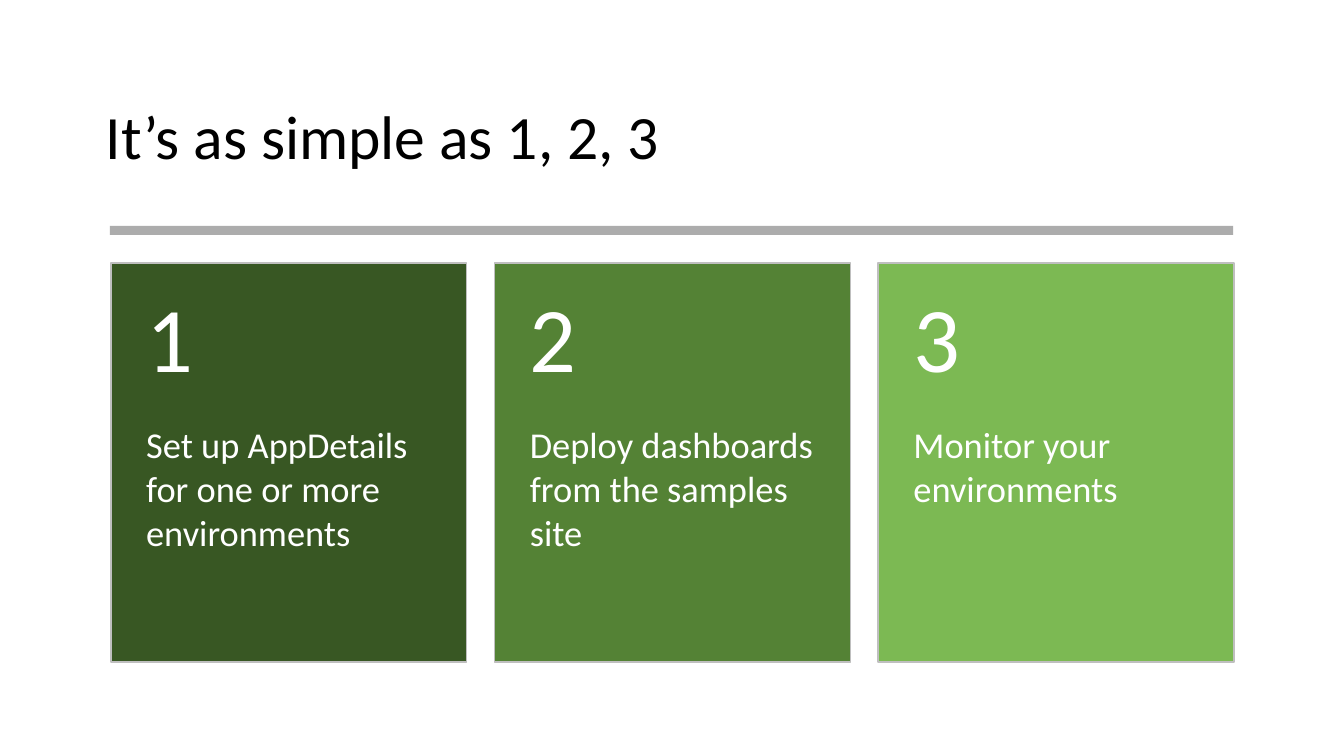
from lxml import etree
from pptx import Presentation
from pptx.dml.color import RGBColor
from pptx.enum.shapes import MSO_SHAPE
from pptx.enum.text import MSO_ANCHOR
from pptx.oxml.ns import qn
from pptx.util import Inches, Pt

COLORS = {
    "title": "000000",
    "rule": "808080",
    "border": "BFBFBF",
    "card_text": "FFFFFF",
    "step_1": "385723",
    "step_2": "548235",
    "step_3": "7CB953",
}
STEPS = [
    "Set up AppDetails for one or more environments",
    "Deploy dashboards from the samples site",
    "Monitor your environments",
]
CARD_LEFT, CARD_TOP, CARD_WIDTH, CARD_HEIGHT = 1.1, 2.61, 3.53, 3.96
CARD_PITCH = 3.805
NUMBER_HEIGHT = 1.58


def rgb(name):
    return RGBColor.from_string(COLORS[name])


def add_rect(slide, box, color):
    s = slide.shapes.add_shape(MSO_SHAPE.RECTANGLE, *map(Inches, box))
    s.shadow.inherit = False
    s.fill.solid()
    s.fill.fore_color.rgb = rgb(color)
    s.line.fill.background()
    return s


def add_text(slide, box, text, size, color, insets, anchor=MSO_ANCHOR.TOP, spacing=1.0):
    """Add a one-paragraph text box; insets are left, top, right, bottom in inches."""
    tf = slide.shapes.add_textbox(*map(Inches, box)).text_frame
    left, top, right, bottom = map(Inches, insets)
    frame_format = {
        "word_wrap": True,
        "vertical_anchor": anchor,
        "margin_left": left,
        "margin_top": top,
        "margin_right": right,
        "margin_bottom": bottom,
    }
    for name, value in frame_format.items():
        setattr(tf, name, value)
    p = tf.paragraphs[0]
    p.line_spacing = spacing
    r = p.add_run()
    r.text = text
    r.font.color.rgb = rgb(color)
    for name, value in {"name": "Calibri", "size": Pt(size)}.items():
        setattr(r.font, name, value)


def add_rule(slide):
    """Add the translucent grey bar under the title."""
    s = add_rect(slide, (1.09, 2.24, 11.14, 0.09), "rule")
    color = s.fill._xPr.find(qn("a:solidFill"))[0]
    etree.SubElement(color, qn("a:alpha")).set("val", "65000")


def add_step_card(slide, number, text):
    left = CARD_LEFT + (number - 1) * CARD_PITCH
    card = add_rect(slide, (left, CARD_TOP, CARD_WIDTH, CARD_HEIGHT), f"step_{number}")
    card.line.color.rgb = rgb("border")
    card.line.width = Pt(1)
    add_text(slide, (left, CARD_TOP + NUMBER_HEIGHT, CARD_WIDTH, CARD_HEIGHT - NUMBER_HEIGHT),
             text, 26, "card_text", (0.35, 0, 0.35, 0.36))
    add_text(slide, (left, CARD_TOP, CARD_WIDTH, NUMBER_HEIGHT), str(number), 66, "card_text",
             (0.35, 0.18, 0.35, 0.18), MSO_ANCHOR.MIDDLE, 0.9)


def main():
    prs = Presentation()
    prs.slide_width, prs.slide_height = Inches(13.33), Inches(7.5)
    slide = prs.slides.add_slide(prs.slide_layouts[6])
    add_text(slide, (0.95, 0.66, 11.43, 1.45), "It’s as simple as 1, 2, 3", 44, "title",
             (0.1, 0.05, 0.1, 0.05), MSO_ANCHOR.MIDDLE, 0.9)
    add_rule(slide)
    for number, text in enumerate(STEPS, start=1):
        add_step_card(slide, number, text)
    prs.save("out.pptx")


if __name__ == "__main__":
    main()
